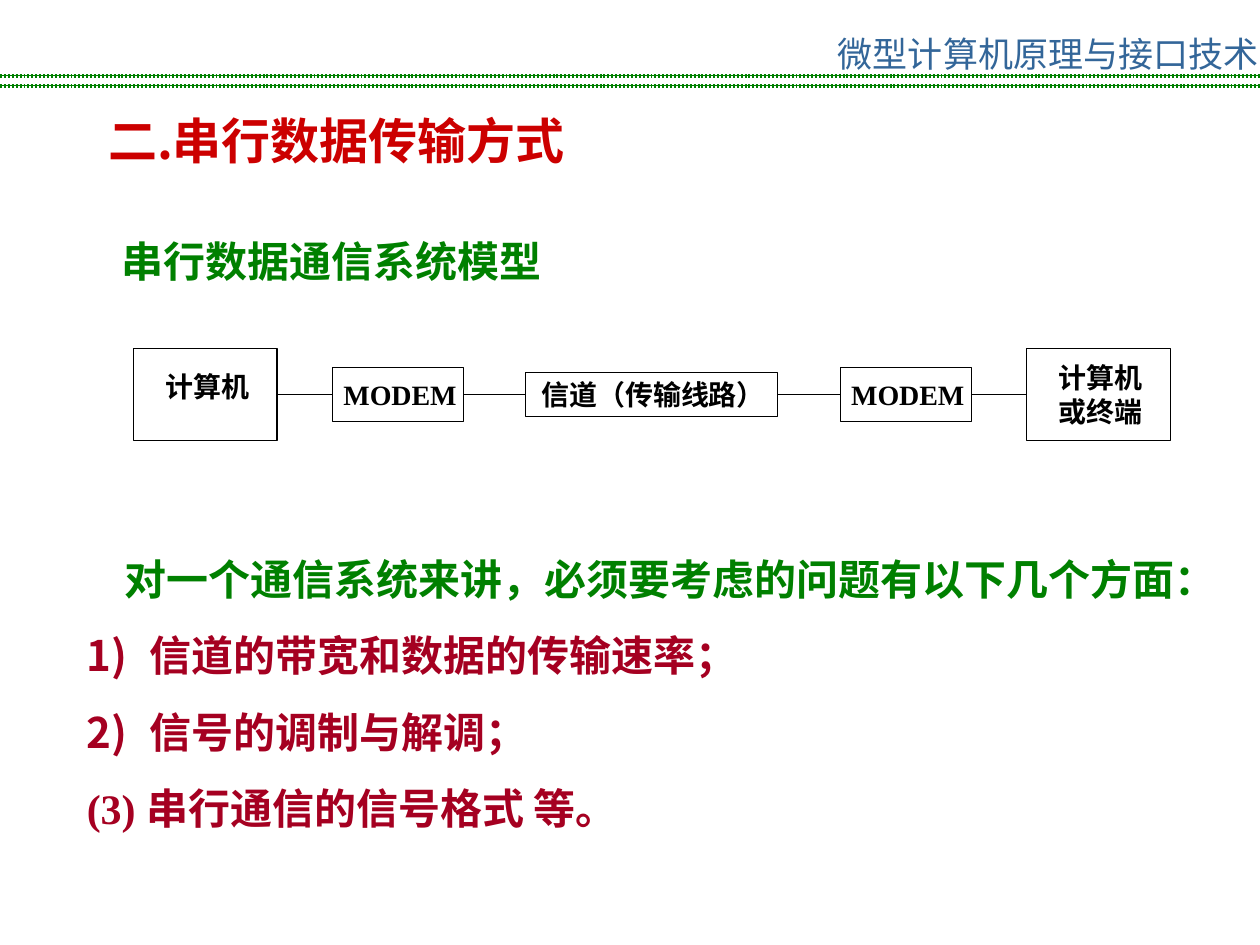
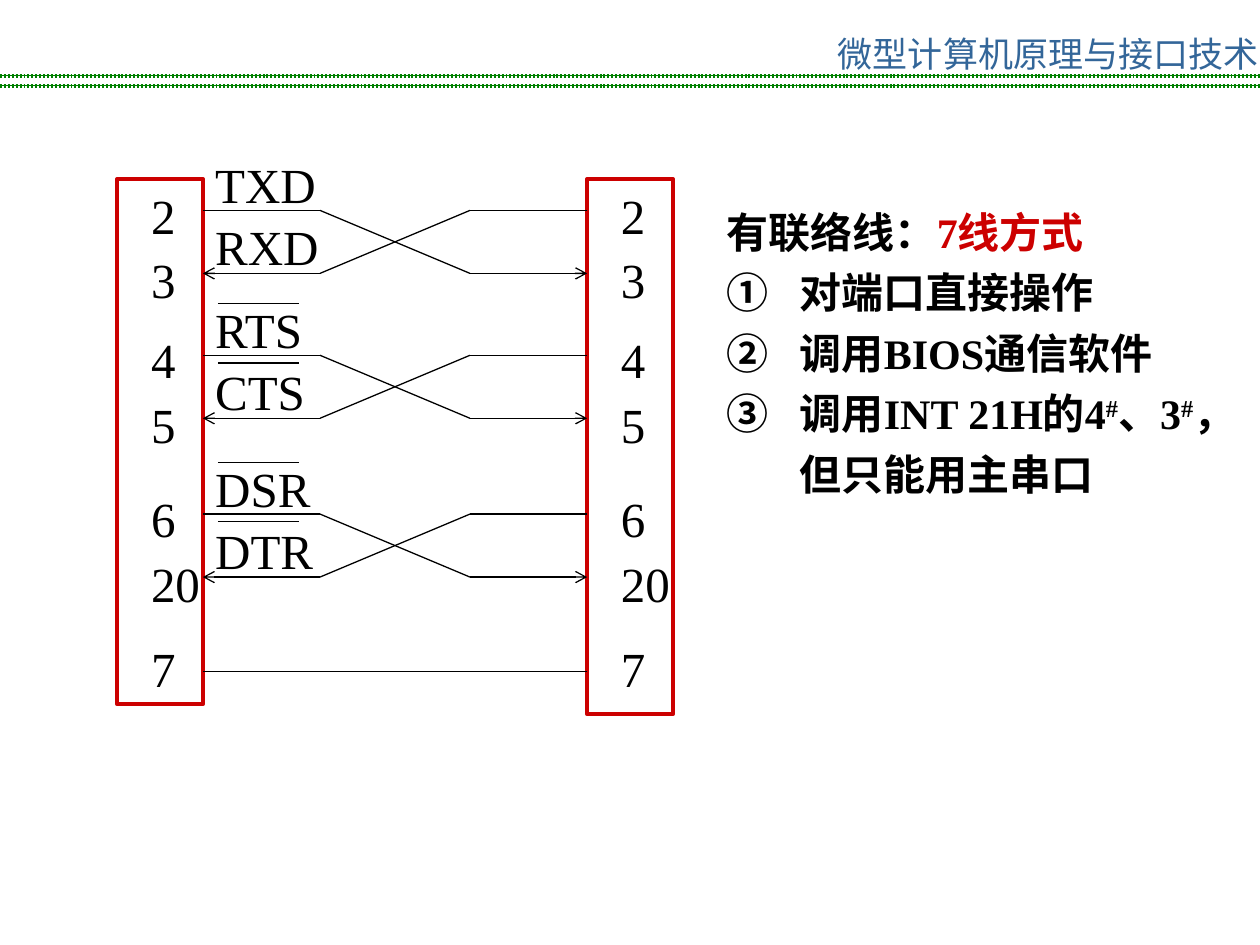
import pptx
import pptx.util
import pptx.dml.color
import pptx.enum.shapes
import pptx.enum.text
import pptx.oxml
import pptx.oxml.ns

Inches = pptx.util.Inches
Pt = pptx.util.Pt
Align = pptx.enum.text.PP_ALIGN
Rect = pptx.enum.shapes.MSO_SHAPE.RECTANGLE
Straight = pptx.enum.shapes.MSO_CONNECTOR.STRAIGHT

BLACK = pptx.dml.color.RGBColor(0x00, 0x00, 0x00)
GREEN = pptx.dml.color.RGBColor(0x00, 0x80, 0x00)
RED = pptx.dml.color.RGBColor(0xCC, 0x00, 0x00)
WINE = pptx.dml.color.RGBColor(0xA5, 0x00, 0x21)
BLUE = pptx.dml.color.RGBColor(0x33, 0x66, 0x99)
SANS = "Noto Sans CJK SC"
SERIF = "Times New Roman"
NS = pptx.oxml.ns.nsdecls("a")


def put(page, text, at, size=28, color=BLACK, font=SERIF, bold=False, align=Align.LEFT,
        wrap=True, before=0, lead=None, hang=0, edge=None, inset=(0.1, 0.05, 0.1, 0.05)):
    """Write paragraphs; each is a string or a dict of runs, first, bullet and color."""
    place = [Inches(n) for n in at]
    if edge:
        box = page.shapes.add_shape(Rect, *place)
        box.shadow.inherit = False
        box.fill.background()
        box.line.color.rgb = color
        box.line.width = Pt(edge)
    else:
        box = page.shapes.add_textbox(*place)
    frame = box.text_frame
    frame.word_wrap = wrap
    frame.margin_left, frame.margin_top, frame.margin_right, frame.margin_bottom = [
        Inches(n) for n in inset]
    frame.vertical_anchor = (pptx.enum.text.MSO_ANCHOR.MIDDLE if edge
                             else pptx.enum.text.MSO_ANCHOR.TOP)
    for i, item in enumerate([text] if isinstance(text, str) else text):
        item = {"runs": [item]} if isinstance(item, str) else item
        para = frame.paragraphs[0] if i == 0 else frame.add_paragraph()
        para.alignment = align
        if i and before:
            para.space_before = Pt(before)
        if lead:
            para.line_spacing = lead
        if hang:
            props = para._p.get_or_add_pPr()
            props.set("marL", str(Inches(hang)))
            props.set("indent", str(Inches(item.get("first", -hang))))
            if item.get("bullet"):
                for tag, key, value in (("buFont", "typeface", SANS),
                                        ("buAutoNum", "type", item["bullet"])):
                    props.append(pptx.oxml.parse_xml(f'<a:{tag} {NS} {key}="{value}"/>'))
        for part in item["runs"]:
            words, look = (part, {}) if isinstance(part, str) else part
            run = para.add_run()
            run.text = words
            run.font.size = Pt(size)
            run.font.bold = bold
            run.font.name = look.get("font", font)
            run.font.color.rgb = look.get("color", item.get("color", color))
            props = run._r.get_or_add_rPr()
            props.append(pptx.oxml.parse_xml(f'<a:ea {NS} typeface="{SANS}"/>'))
            if look.get("raised"):
                props.set("baseline", "30000")
    return box


def draw(page, start, end, color=BLACK, width=0.75, extra=None):
    """Draw a straight line, with one extra line property (dash or arrowhead) if given."""
    wire = page.shapes.add_connector(Straight, *[Inches(n) for n in (*start, *end)])
    wire.line.color.rgb = color
    wire.line.width = Pt(width)
    if extra:
        wire.line._get_or_add_ln().append(pptx.oxml.parse_xml(extra))
    wire._element.spPr.append(pptx.oxml.parse_xml(f'<a:effectLst {NS}/>'))
    return wire


ARROW = f'<a:tailEnd {NS} type="arrow"/>'
DOTS = f'<a:custDash {NS}><a:ds d="50000" sp="50000"/></a:custDash>'

deck = pptx.Presentation()
deck.slide_width, deck.slide_height = Inches(10), Inches(7.5)
model, pins = [deck.slides.add_slide(deck.slide_layouts[6]) for _ in range(2)]

# Shared header: course name over a double green rule
for page in (model, pins):
    put(page, "微型计算机原理与接口技术", (6.4, 0.21, 3.6, 0.4), size=20, color=BLUE,
        font=SANS, align=Align.RIGHT, inset=(0, 0.05, 0.01, 0))
    for y in (0.6, 0.68):
        draw(page, (0, y), (10, y), GREEN)
        draw(page, (0, y), (10, y), GREEN, 2.25, DOTS)

# Slide 1: headings
put(model, "二.串行数据传输方式", (0.76, 0.83, 5.5, 0.67), color=RED, font=SANS, bold=True)
put(model, "串行数据通信系统模型", (0.87, 1.82, 4.46, 0.5), size=24, color=GREEN, bold=True)

# Slide 1: chain of devices, centred on one line
MID = 3.13
chain = [
    ("计算机", 1.06, 1.14, 0.73, 0.12),
    ("MODEM", 2.64, 1.04, 0.43, 0),
    ("信道（传输线路）", 4.17, 2, 0.35, 0),
    ("MODEM", 6.67, 1.04, 0.43, 0),
    (["计算机", "或终端"], 8.15, 1.14, 0.73, 0),
]
last = None
for name, left, wide, high, lift in chain:
    node = put(model, name, (left, MID - high / 2, wide, high), size=16, bold=True,
               align=Align.CENTER, wrap=False, edge=0.75, inset=(0.03, 0, 0, lift))
    if last:
        link = draw(model, (left - 0.5, MID), (left, MID))
        link.begin_connect(last, 3)
        link.end_connect(node, 1)
    last = node

# Slide 1: points to consider
put(model, [
    {"runs": ["对一个通信系统来讲，必须要考虑的问题有以下几个方面："],
     "first": -0.2, "color": GREEN},
    {"runs": ["信道的带宽和数据的传输速率；"], "bullet": "arabicParenR"},
    {"runs": ["信号的调制与解调；"], "bullet": "arabicParenR"},
    "(3) 串行通信的信号格式 等。",
], (0.59, 4.34, 9.19, 2.33), size=24, color=WINE, bold=True, before=15, hang=0.5)

# Slide 2: notes on the seven-wire link
sharp = ("#", {"raised": True})
ring = {"font": "Arial"}
put(pins, [
    {"runs": ["有联络线：", ("7线方式", {"color": RED})]},
    {"runs": [("①", ring), "\t对端口直接操作"]},
    {"runs": [("②", ring), "\t调用BIOS通信软件"]},
    {"runs": [("③", ring), "\t调用INT 21H的4", sharp, "、3", sharp, "，但只能用主串口"]},
], (5.67, 1.51, 4.33, 2.5), size=24, bold=True, lead=1.2, hang=0.58)

# Slide 2: the two ports
NEAR, FAR = 1.61, 4.66
for left, high in ((0.93, 4.17), (FAR, 4.25)):
    put(pins, [], (left, 1.42, 0.68, high), color=RED, edge=2.25)

# Slide 2: crossed pairs of wires
BEND, TURN, GAP = 2.54, 3.73, 0.5
pairs = [
    (1.67, "2", "3", "TXD", "RXD", False),
    (2.82, "4", "5", "RTS", "CTS", True),
    (4.08, "6", "20", "DSR", "DTR", True),
]
for top, pin, next_pin, out, back, barred in pairs:
    low = top + GAP
    for left in (1.1, 4.83):
        put(pins, pin, (left, top - 0.25, 0.88, 0.57))
        put(pins, next_pin, (left, top + 0.26, 0.88, 0.57))
    put(pins, out, (NEAR, top - 0.49, NEAR, 0.57))
    put(pins, back, (NEAR, top, NEAR, 0.57))
    for a, b, c, d in ((NEAR, BEND, TURN, FAR), (FAR, TURN, BEND, NEAR)):
        draw(pins, (a, top), (b, top))
        draw(pins, (b, top), (c, low))
        draw(pins, (c, low), (d, low), extra=ARROW)
    if barred:
        for y in (top - 0.41, top + 0.06):
            draw(pins, (1.73, y), (2.37, y))

# Slide 2: ground wire
for left in (1.1, 4.83):
    put(pins, "7", (left, 5.02, 0.59, 0.57))
draw(pins, (NEAR, 5.33), (FAR, 5.33))

deck.save("out.pptx")
